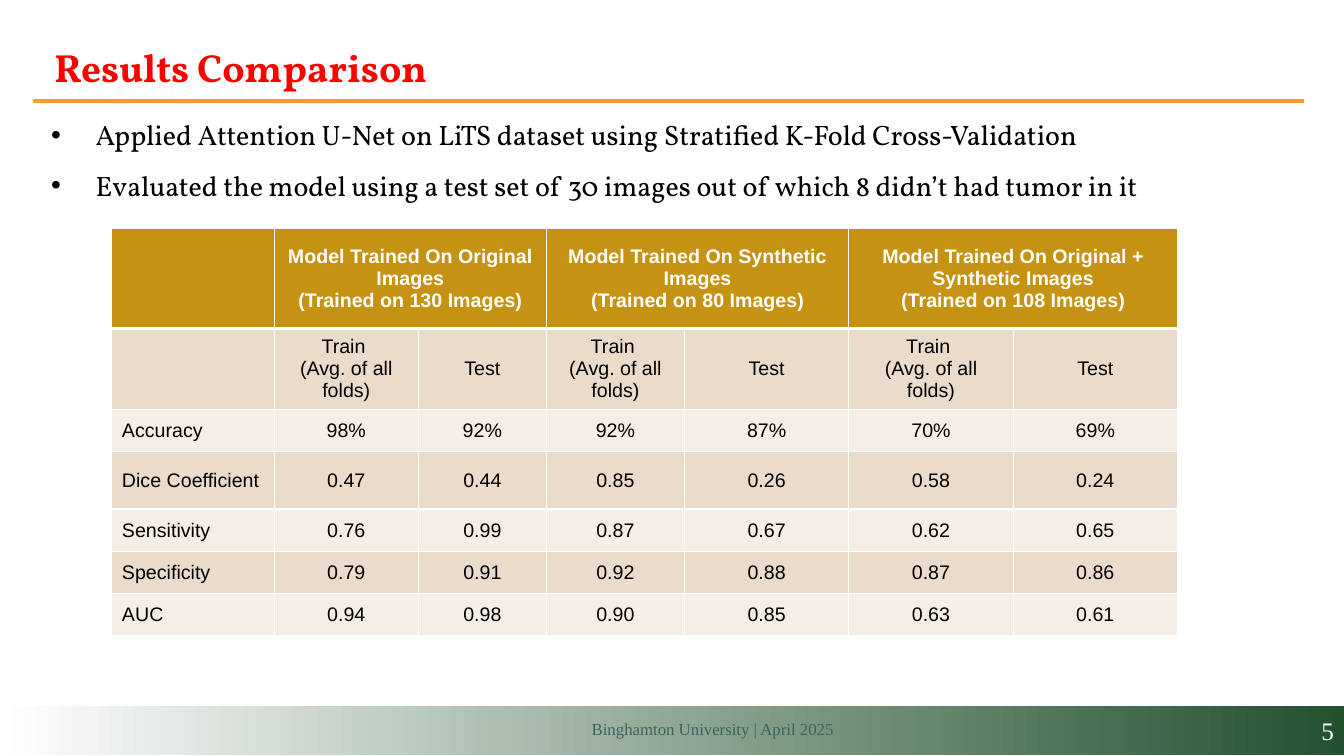
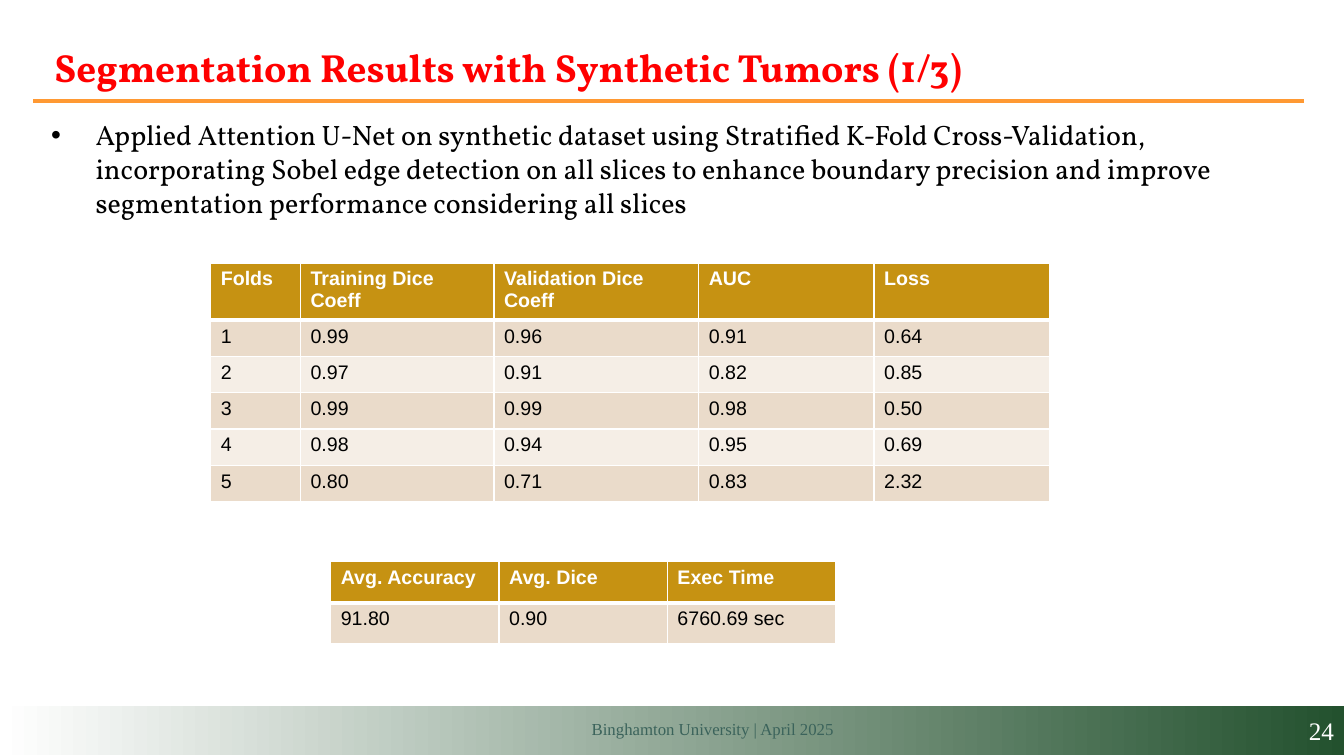
"""Build two result slides with shared title, rule, footer band and table styling."""
from lxml import etree
from pptx import Presentation
from pptx.dml.color import RGBColor
from pptx.enum.shapes import MSO_CONNECTOR, MSO_SHAPE
from pptx.enum.text import MSO_ANCHOR, MSO_AUTO_SIZE, PP_ALIGN
from pptx.oxml.ns import qn
from pptx.util import Inches, Pt

LEFT, CENTER, RIGHT = PP_ALIGN.LEFT, PP_ALIGN.CENTER, PP_ALIGN.RIGHT
TOP, MIDDLE = MSO_ANCHOR.TOP, MSO_ANCHOR.MIDDLE
STRAIGHT, RECTANGLE = MSO_CONNECTOR.STRAIGHT, MSO_SHAPE.RECTANGLE
NO_AUTOFIT = MSO_AUTO_SIZE.NONE

COLORS = {
    "title": "FF0000", "rule": "FF9933", "band": "23512E", "footer": "3B635B",
    "header": "C69212", "odd_row": "EADBCA", "even_row": "F5EEE6",
    "text": "000000", "white": "FFFFFF",
}
HEADING_FONT, TABLE_FONT, FOOTER_FONT = "Vollkorn", "Arial", "Times New Roman"
FOOTER = "Binghamton University | April 2025"
TRAIN = "Train \n(Avg. of all folds)"

SLIDES = [
    {
        "title": "Results Comparison",
        "number": 5,
        "bullets": [
            "Applied Attention U-Net on LiTS dataset using Stratified K-Fold Cross-Validation",
            "Evaluated the model using a test set of 30 images out of which 8 didn’t had tumor in it",
        ],
        "tables": [
            {
                "left": 1.11, "top": 2.27, "centered": True,
                "columns": [1.61, 1.43, 1.27, 1.37, 1.63, 1.63, 1.63],
                "heights": [0.99, 0.8, 0.42, 0.57, 0.42, 0.42, 0.42],
                "merged_pairs": [1, 3, 5],
                "rows": [
                    ["", "Model Trained On Original Images\n(Trained on 130 Images)", "",
                     "Model Trained On Synthetic Images\n(Trained on 80 Images)", "",
                     "Model Trained On Original + Synthetic Images\n(Trained on 108 Images)", ""],
                    ["", TRAIN, "Test", TRAIN, "Test", TRAIN, "Test"],
                    ["Accuracy", "98%", "92%", "92%", "87%", "70%", "69%"],
                    ["Dice Coefficient", "0.47", "0.44", "0.85", "0.26", "0.58", "0.24"],
                    ["Sensitivity", "0.76", "0.99", "0.87", "0.67", "0.62", "0.65"],
                    ["Specificity", "0.79", "0.91", "0.92", "0.88", "0.87", "0.86"],
                    ["AUC", "0.94", "0.98", "0.90", "0.85", "0.63", "0.61"],
                ],
            },
        ],
    },
    {
        "title": "Segmentation Results with Synthetic Tumors (1/3)",
        "number": 24,
        "bullets": [
            "Applied Attention U-Net on synthetic dataset using Stratified K-Fold Cross-Validation, "
            "incorporating Sobel edge detection on all slices to enhance boundary precision and "
            "improve segmentation performance considering all slices",
        ],
        "tables": [
            {
                "left": 2.09, "top": 2.61, "centered": False,
                "columns": [0.89, 1.92, 2.03, 1.74, 1.74],
                "heights": [0.51] + [0.36] * 5,
                "merged_pairs": [],
                "rows": [
                    ["Folds", "Training Dice Coeff", "Validation Dice Coeff", "AUC", "Loss"],
                    ["1", "0.99", "0.96", "0.91", "0.64"],
                    ["2", "0.97", "0.91", "0.82", "0.85"],
                    ["3", "0.99", "0.99", "0.98", "0.50"],
                    ["4", "0.98", "0.94", "0.95", "0.69"],
                    ["5", "0.80", "0.71", "0.83", "2.32"],
                ],
            },
            {
                "left": 3.28, "top": 5.57, "centered": False,
                "columns": [1.67] * 3,
                "heights": [0.41] * 2,
                "merged_pairs": [],
                "rows": [
                    ["Avg. Accuracy", "Avg. Dice", "Exec Time"],
                    ["91.80", "0.90", "6760.69 sec"],
                ],
            },
        ],
    },
]


def format_text(text_frame, font_name, size, color, alignment=LEFT, bold=False):
    """Apply one font and alignment to all text in a frame."""
    for paragraph in text_frame.paragraphs:
        paragraph.alignment = alignment
        for run in paragraph.runs:
            run.font.name = font_name
            run.font.size = Pt(size)
            run.font.bold = bold
            run.font.color.rgb = RGBColor.from_string(COLORS[color])


def set_borders(cell, top_width, bottom_width):
    """Give a cell white borders, with its own top and bottom widths."""
    properties = cell._tc.get_or_add_tcPr()
    for side, width in (("L", 1), ("R", 1), ("T", top_width), ("B", bottom_width)):
        line = etree.SubElement(properties, qn(f"a:ln{side}"), w=str(Pt(width)))
        fill = etree.SubElement(line, qn("a:solidFill"))
        etree.SubElement(fill, qn("a:srgbClr"), val=COLORS["white"])


presentation = Presentation()
presentation.slide_width = Inches(13.33)
presentation.slide_height = Inches(7.5)
title_only = presentation.slide_layouts[5]

for content in SLIDES:
    slide = presentation.slides.add_slide(title_only)
    shapes = slide.shapes

    title = shapes.title
    title.left, title.top = Inches(0.44), Inches(0.31)
    title.width, title.height = Inches(12.39), Inches(0.7)
    title.text_frame.text = content["title"]
    title.text_frame.auto_size = NO_AUTOFIT
    title.text_frame.vertical_anchor = MIDDLE
    format_text(title.text_frame, HEADING_FONT, 28, "title", bold=True)

    rule = shapes.add_connector(STRAIGHT, Inches(0.33), Inches(1), Inches(12.93), Inches(1))
    rule.line.color.rgb = RGBColor.from_string(COLORS["rule"])
    rule.line.width = Pt(3)
    etree.SubElement(rule._element.spPr, qn("a:effectLst"))

    band = shapes.add_shape(RECTANGLE, 0, Inches(7), presentation.slide_width, Inches(0.49))
    band.shadow.inherit = False
    band.line.fill.background()
    band.fill.gradient()
    band.fill.gradient_angle = 0
    for stop, position, color in zip(band.fill.gradient_stops, (0, 1), ("white", "band")):
        stop.position = position
        stop.color.rgb = RGBColor.from_string(COLORS[color])
    band.text_frame.text = str(content["number"])
    band.text_frame.vertical_anchor = MIDDLE
    format_text(band.text_frame, FOOTER_FONT, 18, "white", RIGHT)

    footer = shapes.add_textbox(Inches(5.37), Inches(7.08), Inches(3), Inches(0.3))
    footer.text_frame.word_wrap = True
    footer.text_frame.text = FOOTER
    format_text(footer.text_frame, FOOTER_FONT, 12, "footer", RIGHT)

    body = shapes.add_textbox(Inches(0.41), Inches(1.12), Inches(12.26), Inches(5.31))
    body.text_frame.word_wrap = True
    body.text_frame.text = "\n".join(content["bullets"])
    for index, paragraph in enumerate(body.text_frame.paragraphs):
        paragraph.space_before = Pt(4 if index else 0)
        paragraph.space_after = Pt(8)
        properties = paragraph._p.get_or_add_pPr()
        properties.set("marL", str(Inches(0.44)))
        properties.set("indent", str(-Inches(0.44)))
        bullet_color = etree.SubElement(properties, qn("a:buClr"))
        etree.SubElement(bullet_color, qn("a:srgbClr"), val=COLORS["text"])
        etree.SubElement(properties, qn("a:buFont"), typeface=TABLE_FONT)
        etree.SubElement(properties, qn("a:buChar"), char="•")
    format_text(body.text_frame, HEADING_FONT, 20, "text")

    for layout in content["tables"]:
        columns, heights, rows = layout["columns"], layout["heights"], layout["rows"]
        table = shapes.add_table(
            len(rows), len(columns), Inches(layout["left"]), Inches(layout["top"]),
            Inches(sum(columns)), Inches(sum(heights)),
        ).table
        for column, width in zip(table.columns, columns):
            column.width = Inches(width)
        for row, height in zip(table.rows, heights):
            row.height = Inches(height)
        for first in layout["merged_pairs"]:
            table.cell(0, first).merge(table.cell(0, first + 1))

        for row_index, row_values in enumerate(rows):
            is_header = row_index == 0
            fill = "header" if is_header else "odd_row" if row_index % 2 else "even_row"
            for column_index, value in enumerate(row_values):
                cell = table.cell(row_index, column_index)
                set_borders(cell, 3 if row_index == 1 else 1, 3 if is_header else 1)
                cell.fill.solid()
                cell.fill.fore_color.rgb = RGBColor.from_string(COLORS[fill])
                cell.vertical_anchor = MIDDLE if layout["centered"] else TOP
                if value:
                    cell.text_frame.text = value
                alignment = CENTER if layout["centered"] and column_index else LEFT
                format_text(cell.text_frame, TABLE_FONT, 14,
                            "white" if is_header else "text", alignment, is_header)

presentation.save("out.pptx")
